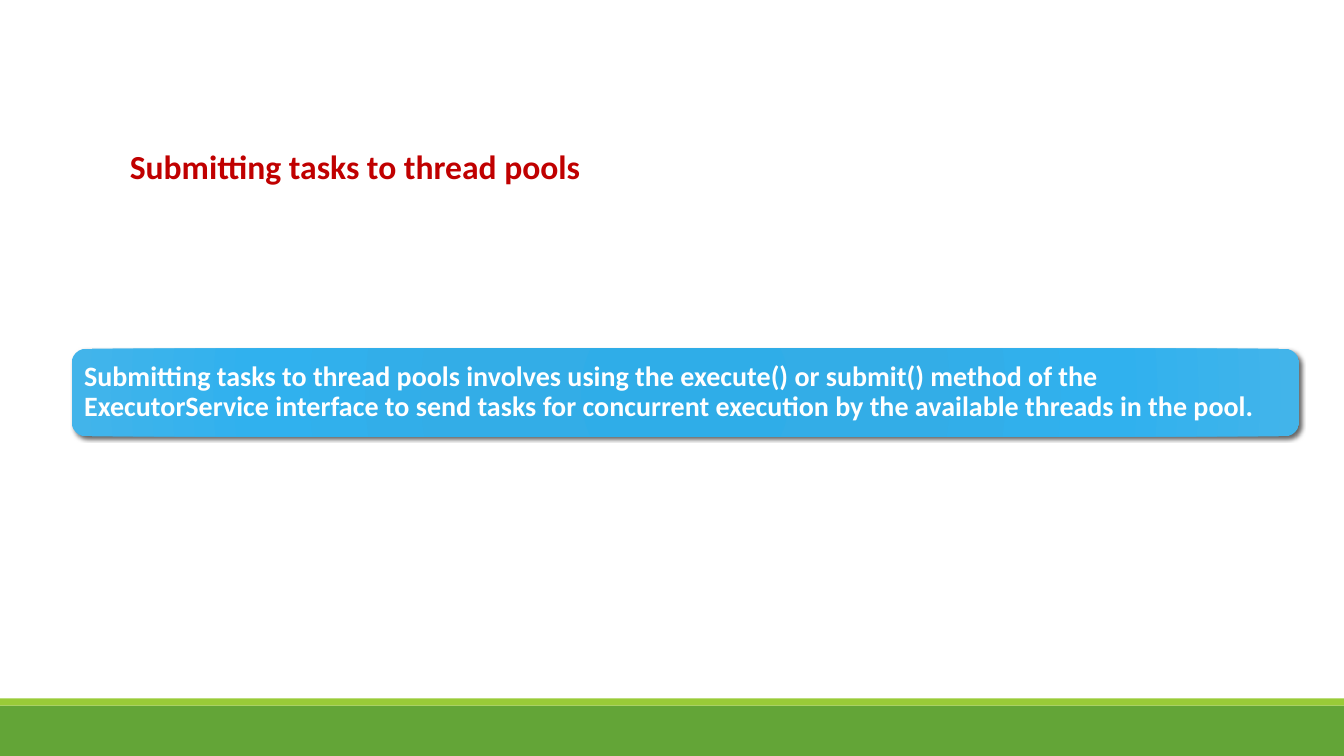
from lxml.etree import SubElement
from pptx import Presentation
from pptx.dml.color import RGBColor
from pptx.enum.shapes import MSO_SHAPE
from pptx.enum.text import MSO_ANCHOR, PP_ALIGN
from pptx.oxml.ns import qn
from pptx.util import Pt

TITLE = "Submitting tasks to thread pools"
SUMMARY = (
    "Submitting tasks to thread pools involves using the execute() or submit() method of the "
    "ExecutorService interface to send tasks for concurrent execution by the available threads in the pool."
)

THEME = {
    "font": "Calibri",
    "title_size": 24,
    "summary_size": 20,
    "title_color": "C00000",
    "summary_color": "FFFFFF",
    "footer": "63A537",
    "footer_edge": "99CB38",
    "panel_stops": [(0, "2FADE8"), (34, "33ADE7"), (70, "30B1EE"), (100, "42B4EA")],
    "shadow": "000000",
}

SLIDE_WIDTH, SLIDE_HEIGHT = 960, 540
FOOTER_HEIGHT, EDGE_HEIGHT = 36, 5.04
TITLE_BOX = (85.68, 100.8, 480.24, 36)
PANEL_BOX = (51.12, 249.12, 876.96, 62.64)


def write_text(shape, text, size, color, insets=(7.2, 3.6), anchor=MSO_ANCHOR.TOP, line_spacing=1.0):
    frame = shape.text_frame
    frame.word_wrap = True
    frame.vertical_anchor = anchor
    frame.margin_left = frame.margin_right = Pt(insets[0])
    frame.margin_top = frame.margin_bottom = Pt(insets[1])
    paragraph = frame.paragraphs[0]
    paragraph.alignment = PP_ALIGN.LEFT
    paragraph.line_spacing = line_spacing
    run = paragraph.add_run()
    run.text = text
    run.font.name = THEME["font"]
    run.font.size = Pt(size)
    run.font.bold = True
    run.font.color.rgb = RGBColor.from_string(color)


def add_box(slide, kind, box):
    shape = slide.shapes.add_shape(kind, *map(Pt, box))
    shape.shadow.inherit = False
    shape.line.fill.background()
    return shape


def add_band(slide, top, height, color):
    band = add_box(slide, MSO_SHAPE.RECTANGLE, (0, top, SLIDE_WIDTH, height))
    band.fill.solid()
    band.fill.fore_color.rgb = RGBColor.from_string(color)


def add_element(parent, tag, **attributes):
    values = {name: str(value) for name, value in attributes.items()}
    return SubElement(parent, qn(tag), values)


def fill_radial(shape, stops):
    """Fill the shape with a circular gradient around its centre."""
    shape.fill.gradient()
    gradient = shape.fill._xPr.find(qn("a:gradFill"))
    for child in list(gradient):
        gradient.remove(child)
    stop_list = add_element(gradient, "a:gsLst")
    for percent, color in stops:
        stop = add_element(stop_list, "a:gs", pos=percent * 1000)
        add_element(stop, "a:srgbClr", val=color)
    circle = add_element(gradient, "a:path", path="circle")
    add_element(circle, "a:fillToRect", l=100000, t=100000, r=100000, b=100000)


def add_shadow(shape, color, opacity, blur, distance, angle):
    effects = shape.element.spPr.find(qn("a:effectLst"))
    shadow = add_element(effects, "a:outerShdw", blurRad=Pt(blur), dist=Pt(distance),
                         dir=angle * 60000, algn="ctr", rotWithShape=0)
    shadow_color = add_element(shadow, "a:srgbClr", val=color)
    add_element(shadow_color, "a:alpha", val=opacity * 1000)


def main():
    presentation = Presentation()
    presentation.slide_width, presentation.slide_height = Pt(SLIDE_WIDTH), Pt(SLIDE_HEIGHT)
    slide = presentation.slides.add_slide(presentation.slide_layouts[6])

    footer_top = SLIDE_HEIGHT - FOOTER_HEIGHT
    add_band(slide, footer_top, FOOTER_HEIGHT, THEME["footer"])
    add_band(slide, footer_top - EDGE_HEIGHT, EDGE_HEIGHT, THEME["footer_edge"])

    panel = add_box(slide, MSO_SHAPE.ROUNDED_RECTANGLE, PANEL_BOX)
    fill_radial(panel, THEME["panel_stops"])
    add_shadow(panel, THEME["shadow"], opacity=60, blur=3, distance=2, angle=45)
    write_text(panel, SUMMARY, THEME["summary_size"], THEME["summary_color"],
               insets=(6, 6), anchor=MSO_ANCHOR.MIDDLE, line_spacing=0.9)

    title = slide.shapes.add_textbox(*map(Pt, TITLE_BOX))
    write_text(title, TITLE, THEME["title_size"], THEME["title_color"])

    presentation.save("out.pptx")


if __name__ == "__main__":
    main()
